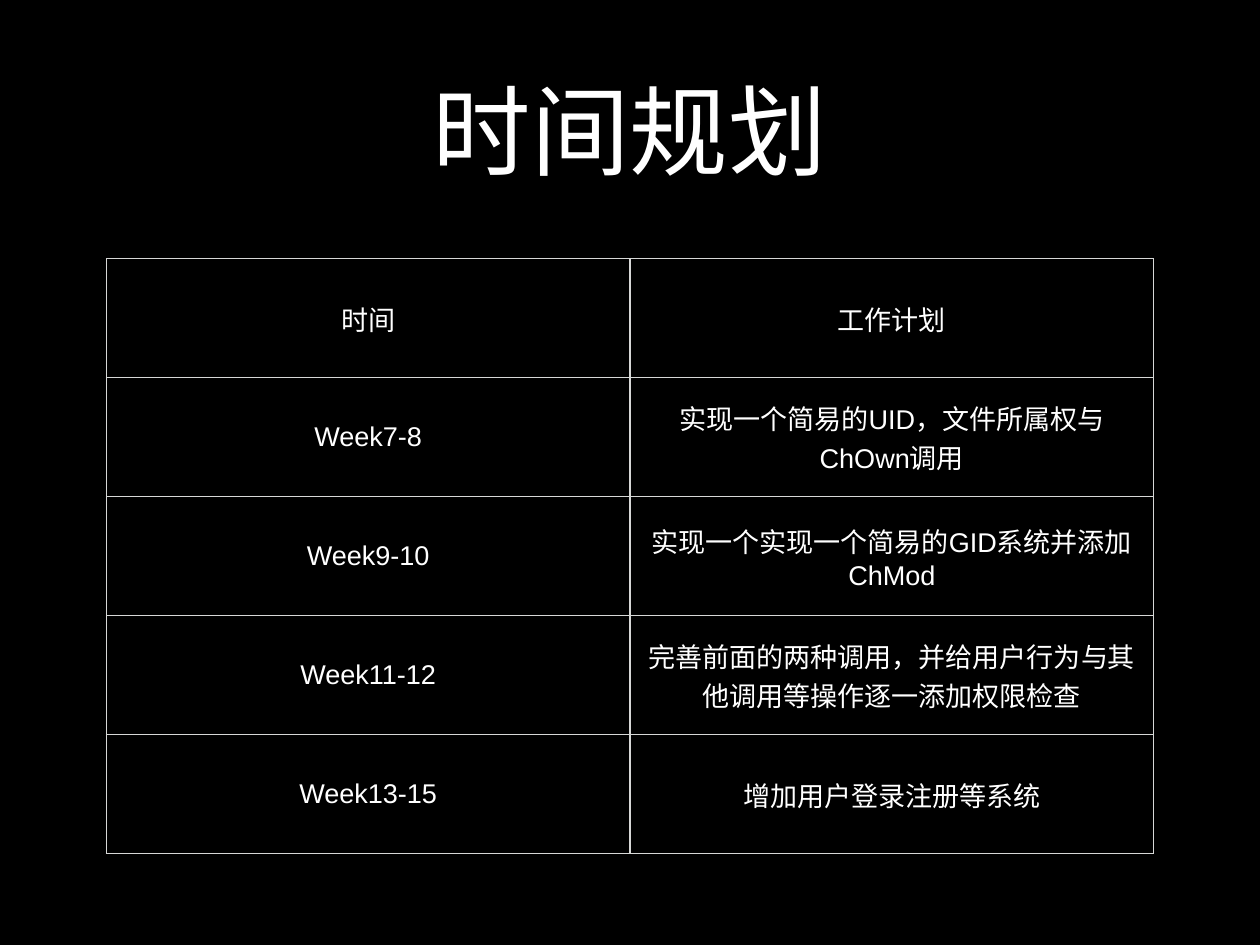
from lxml import etree
from pptx import Presentation
from pptx.dml.color import RGBColor
from pptx.enum.text import MSO_ANCHOR, PP_ALIGN
from pptx.oxml.ns import qn
from pptx.util import Cm, Pt

CENTER = PP_ALIGN.CENTER
MIDDLE = MSO_ANCHOR.MIDDLE
TITLE_ONLY = 5

FONT = "Arial"
BLACK, WHITE, GREY = "000000", "FFFFFF", "D6D7D6"
INSET = Cm(0.15)

PLAN = [
    ("时间", "工作计划"),
    ("Week7-8", "实现一个简易的UID，文件所属权与ChOwn调用"),
    ("Week9-10", "实现一个实现一个简易的GID系统并添加ChMod"),
    ("Week11-12", "完善前面的两种调用，并给用户行为与其他调用等操作逐一添加权限检查"),
    ("Week13-15", "增加用户登录注册等系统"),
]


def color(hex_code):
    return RGBColor.from_string(hex_code)


def write_text(frame, text, size, fill=WHITE, align=CENTER):
    para = frame.paragraphs[0]
    para.alignment = align
    span = para.add_run()
    span.text = text
    span.font.name = FONT
    span.font.size = Pt(size)
    span.font.color.rgb = color(fill)


def set_insets(target):
    """Give a cell or a text frame the same small margin on every side."""
    target.margin_left = target.margin_right = INSET
    target.margin_top = target.margin_bottom = INSET
    target.vertical_anchor = MIDDLE


def add_borders(cell, hex_code, width):
    properties = cell._tc.get_or_add_tcPr()
    for index, side in enumerate(("lnL", "lnR", "lnT", "lnB")):
        line = etree.Element(qn(f"a:{side}"), w=str(Pt(width)))
        fill = etree.SubElement(line, qn("a:solidFill"))
        etree.SubElement(fill, qn("a:srgbClr"), val=hex_code)
        properties.insert(index, line)


def place_title(page, text, left, top, width, height):
    title = page.shapes.title
    title.left, title.top = Cm(left), Cm(top)
    title.width, title.height = Cm(width), Cm(height)
    frame = title.text_frame
    frame.word_wrap = True
    set_insets(frame)
    write_text(frame, text, 80)


def place_plan(page, rows, left, top, width, height):
    box = page.shapes.add_table(
        len(rows), len(rows[0]), Cm(left), Cm(top), Cm(width), Cm(height)
    )
    table = box.table
    table.first_row = table.horz_banding = False
    for row_index, row in enumerate(rows):
        for column_index, text in enumerate(row):
            cell = table.cell(row_index, column_index)
            cell.fill.solid()
            cell.fill.fore_color.rgb = color(BLACK)
            set_insets(cell)
            add_borders(cell, GREY, 1)
            write_text(cell.text_frame, text, 22)


def build_schedule_page(deck):
    page = deck.slides.add_slide(deck.slide_layouts[TITLE_ONLY])
    page.background.fill.solid()
    page.background.fill.fore_color.rgb = color(BLACK)
    place_title(page, "时间规划", 2.64, 0.71, 30.84, 6)
    place_plan(page, PLAN, 3.05, 7.42, 30.02, 17.06)


def main():
    deck = Presentation()
    deck.slide_width, deck.slide_height = Cm(36.12), Cm(27.09)
    build_schedule_page(deck)
    deck.save("out.pptx")


if __name__ == "__main__":
    main()
